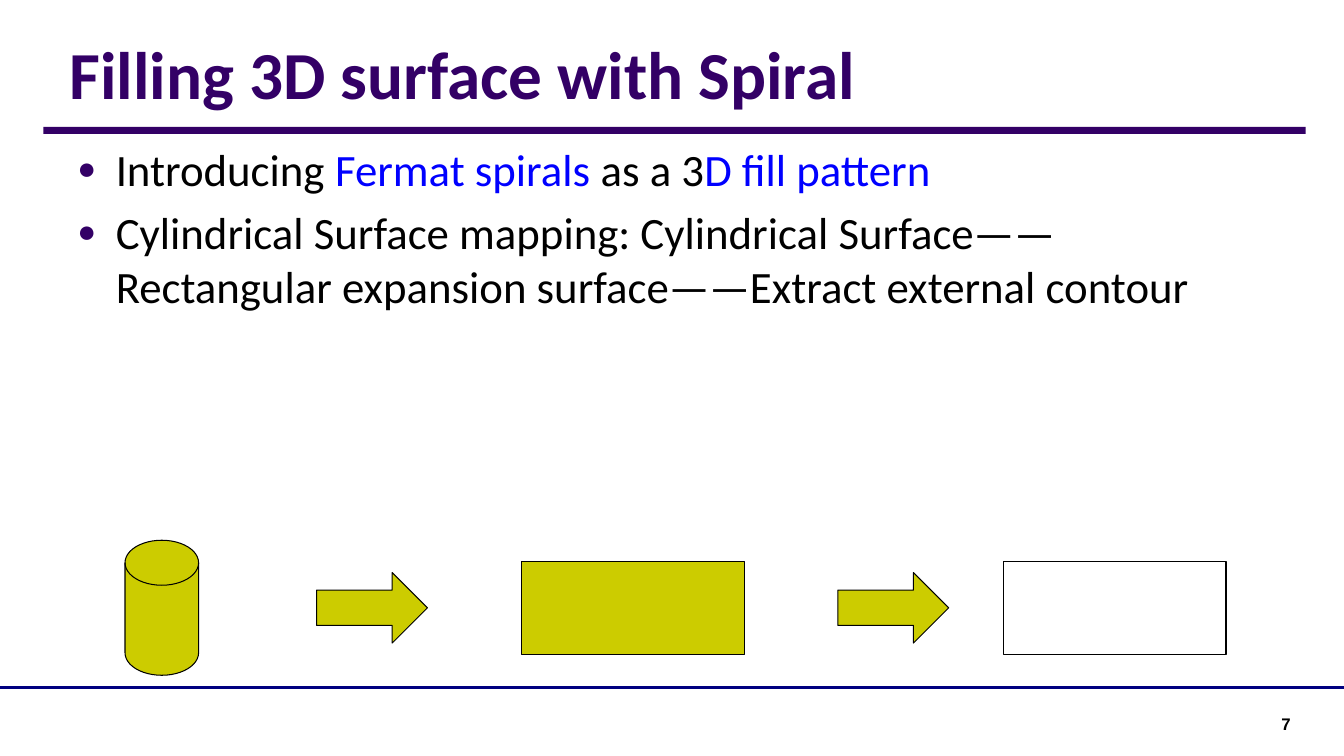
from lxml import etree
from pptx import Presentation
from pptx.dml.color import RGBColor
from pptx.enum.shapes import MSO_CONNECTOR, MSO_SHAPE
from pptx.enum.text import MSO_ANCHOR, PP_ALIGN
from pptx.oxml.ns import qn
from pptx.util import Inches, Pt

RECT, ARROW = MSO_SHAPE.RECTANGLE, MSO_SHAPE.RIGHT_ARROW
CYLINDER = MSO_SHAPE.FLOWCHART_MAGNETIC_DISK
STRAIGHT = MSO_CONNECTOR.STRAIGHT
TOP, BOTTOM = MSO_ANCHOR.TOP, MSO_ANCHOR.BOTTOM
LEFT, RIGHT = PP_ALIGN.LEFT, PP_ALIGN.RIGHT
PURPLE, NAVY, BLUE, OLIVE, BLACK = "330066", "000080", "0000FF", "CCCC00", "000000"


def rgb(color):
    """Turn a hex string into a colour."""
    return RGBColor.from_string(color)


def add_bullet(p):
    """Give a paragraph a hanging purple bullet."""
    pPr = p._p.get_or_add_pPr()
    pPr.set("marL", str(Inches(0.38)))
    pPr.set("indent", str(-Inches(0.38)))
    clr = etree.SubElement(pPr, qn("a:buClr"))
    etree.SubElement(clr, qn("a:srgbClr"), val=PURPLE)
    etree.SubElement(pPr, qn("a:buSzPct"), val="70000")
    etree.SubElement(pPr, qn("a:buFont"), typeface="Arial")
    etree.SubElement(pPr, qn("a:buChar"), char="●")


def add_text(s, box, paragraphs, size, font="Calibri", bold=False,
             align=LEFT, anchor=TOP, bullets=False, before=0):
    """Add a text box of paragraphs made of (text, colour) runs."""
    tf = s.shapes.add_textbox(*map(Inches, box)).text_frame
    tf.word_wrap = True
    tf.vertical_anchor = anchor
    for i, runs in enumerate(paragraphs):
        p = tf.paragraphs[0] if i == 0 else tf.add_paragraph()
        p.alignment = align
        p.space_before = Pt(before)
        if bullets:
            add_bullet(p)
        for text, color in runs:
            r = p.add_run()
            r.text = text
            r.font.name, r.font.size, r.font.bold = font, Pt(size), bold
            r.font.color.rgb = rgb(color)


def add_box(s, kind, box, fill=None, line=None):
    """Add a preset shape with optional fill and outline."""
    sp = s.shapes.add_shape(kind, *map(Inches, box))
    sp.shadow.inherit = False
    if fill:
        sp.fill.solid()
        sp.fill.fore_color.rgb = rgb(fill)
    else:
        sp.fill.background()
    if line:
        sp.line.color.rgb = rgb(line)
        sp.line.width = Pt(0.75)
    else:
        sp.line.fill.background()


def add_header(s, x, y, w):
    """Place the title and the bar below it."""
    add_text(s, (x + 0.16, y, w - 0.34, 1.14),
             [[("Filling 3D surface with Spiral", PURPLE)]],
             48, bold=True, anchor=BOTTOM)
    add_box(s, RECT, (x, y + 1.23, w, 0.07), PURPLE)


def add_body(s, box):
    """Place the bulleted text."""
    add_text(s, box, [
        [("Introducing ", BLACK), ("Fermat spirals ", BLUE),
         ("as a 3", BLACK), ("D fill pattern", BLUE)],
        [("Cylindrical Surface mapping: Cylindrical Surface——"
          "Rectangular expansion surface——Extract external contour", BLACK)],
    ], 32, bullets=True, before=6.4)


def add_mapping(s, x, middle):
    """Place the steps from cylinder to contour, centred on one height."""
    steps = [
        (CYLINDER, 0, 0.73, 1.34, OLIVE),
        (ARROW, 1.9, 1.1, 0.7, OLIVE),
        (RECT, 3.93, 2.21, 0.92, OLIVE),
        (ARROW, 7.07, 1.1, 0.7, OLIVE),
        (RECT, 8.71, 2.21, 0.92, None),
    ]
    for kind, dx, w, h, fill in steps:
        add_box(s, kind, (x + dx, middle - h / 2, w, h), fill, BLACK)


def add_footer(s, y, w):
    """Place the footer line and the slide number."""
    rule = s.shapes.add_connector(STRAIGHT, 0, Inches(y), Inches(w), Inches(y))
    rule.line.color.rgb = rgb(NAVY)
    rule.line.width = Pt(2)
    etree.SubElement(rule._element.spPr, qn("a:effectLst"))
    add_text(s, (w - 2.2, y + 0.21, 1.77, 0.28), [[("7", BLACK)]],
             12, font="Arial", bold=True, align=RIGHT)


def main():
    """Build and save the slide."""
    prs = Presentation()
    prs.slide_width, prs.slide_height = Inches(13.33), Inches(7.5)
    s = prs.slides.add_slide(prs.slide_layouts[6])
    add_footer(s, 6.82, 13.33)
    add_header(s, 0.43, 0.03, 12.52)
    add_body(s, (0.67, 1.36, 12, 5.58))
    add_mapping(s, 1.24, 6.03)
    prs.save("out.pptx")


if __name__ == "__main__":
    main()
